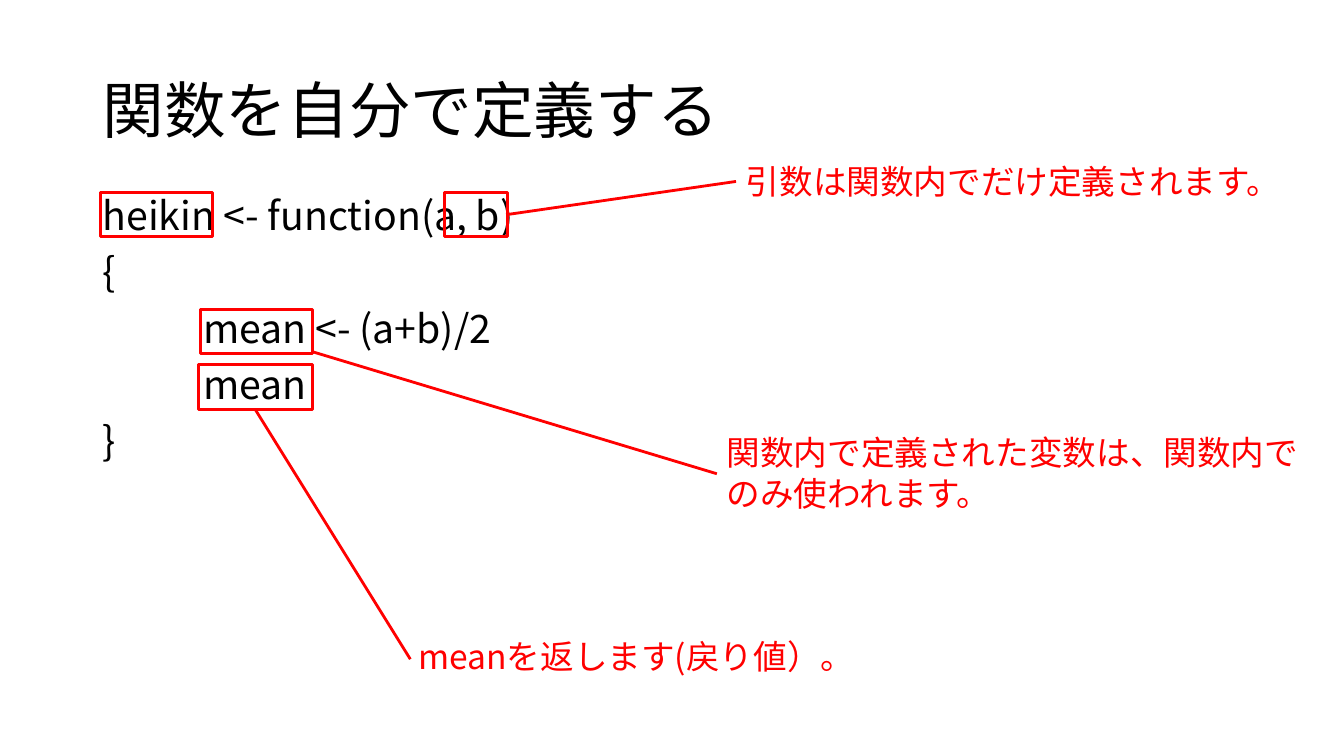
from lxml import etree
from pptx import Presentation
from pptx.dml.color import RGBColor
from pptx.enum.shapes import MSO_CONNECTOR, MSO_SHAPE
from pptx.enum.text import MSO_ANCHOR
from pptx.oxml.ns import qn
from pptx.util import Inches, Pt

STRAIGHT = MSO_CONNECTOR.STRAIGHT
RECTANGLE = MSO_SHAPE.RECTANGLE
TOP, MIDDLE = MSO_ANCHOR.TOP, MSO_ANCHOR.MIDDLE
FONT = "Noto Sans CJK JP"
BLACK, RED = "000000", "FF0000"
CODE_INDENT = Inches(1)

presentation = Presentation()
presentation.slide_width = Inches(13.33)
presentation.slide_height = Inches(7.5)
slide = presentation.slides.add_slide(presentation.slide_layouts[6])


def add_text(text, box, size, color=BLACK, anchor=TOP, line_spacing=1.0, space_before=0):
    """Add a wrapping text box with one paragraph for each line of text."""
    text_frame = slide.shapes.add_textbox(*map(Inches, box)).text_frame
    text_frame.word_wrap = True
    text_frame.vertical_anchor = anchor
    for index, line in enumerate(text.split("\n")):
        paragraph = text_frame.add_paragraph() if index else text_frame.paragraphs[0]
        paragraph.line_spacing = line_spacing
        paragraph.space_before = Pt(space_before if index else 0)
        if "\t" in line:
            properties = paragraph._p.get_or_add_pPr()
            tab_list = etree.SubElement(properties, qn("a:tabLst"))
            etree.SubElement(tab_list, qn("a:tab"), pos=str(CODE_INDENT), algn="l")
        run = paragraph.add_run()
        run.text = line
        run.font.size = Pt(size)
        run.font.name = FONT
        run.font.color.rgb = RGBColor.from_string(color)
        east_asian = etree.SubElement(run.font._element, qn("a:ea"))
        east_asian.set("typeface", FONT)


def set_line(line):
    line.color.rgb = RGBColor.from_string(RED)
    line.width = Pt(2)


add_text("関数を自分で定義する", (0.92, 0.4, 11.5, 1.45), 44, anchor=MIDDLE, line_spacing=0.9)

code = "heikin <- function(a, b)\n{\n\tmean <- (a+b)/2\n\tmean\n}"
add_text(code, (0.92, 1.9, 11.5, 5.5), 28, line_spacing=0.9, space_before=10)

callouts = [
    ("引数は関数内でだけ定義されます。", (7.3, 1.55, 5.9, 0.5)),
    ("meanを返します(戻り値）。", (4.05, 6.26, 5.35, 0.5)),
    ("関数内で定義された変数は、関数内でのみ使われます。", (7.11, 4.24, 5.9, 0.91)),
]
for text, box in callouts:
    add_text(text, box, 24, color=RED)

# Left, top and width of the frames around parts of the code
code_frames = [(1, 1.91, 1.11), (4.41, 1.91, 0.62), (1.99, 3.07, 1.11), (1.97, 3.62, 1.13)]
for left, top, width in code_frames:
    frame = slide.shapes.add_shape(
        RECTANGLE, Inches(left), Inches(top), Inches(width), Inches(0.44)
    )
    frame.shadow.inherit = False
    frame.fill.background()
    set_line(frame.line)

# Start and end of the lines from the frames to their callouts
callout_lines = [
    (5.02, 2.13, 7.3, 1.8),
    (2.53, 4.06, 4.07, 6.54),
    (3.1, 3.49, 7.11, 4.7),
]
for ends in callout_lines:
    connector = slide.shapes.add_connector(STRAIGHT, *map(Inches, ends))
    set_line(connector.line)
    etree.SubElement(connector._element.spPr, qn("a:effectLst"))

presentation.save("out.pptx")
